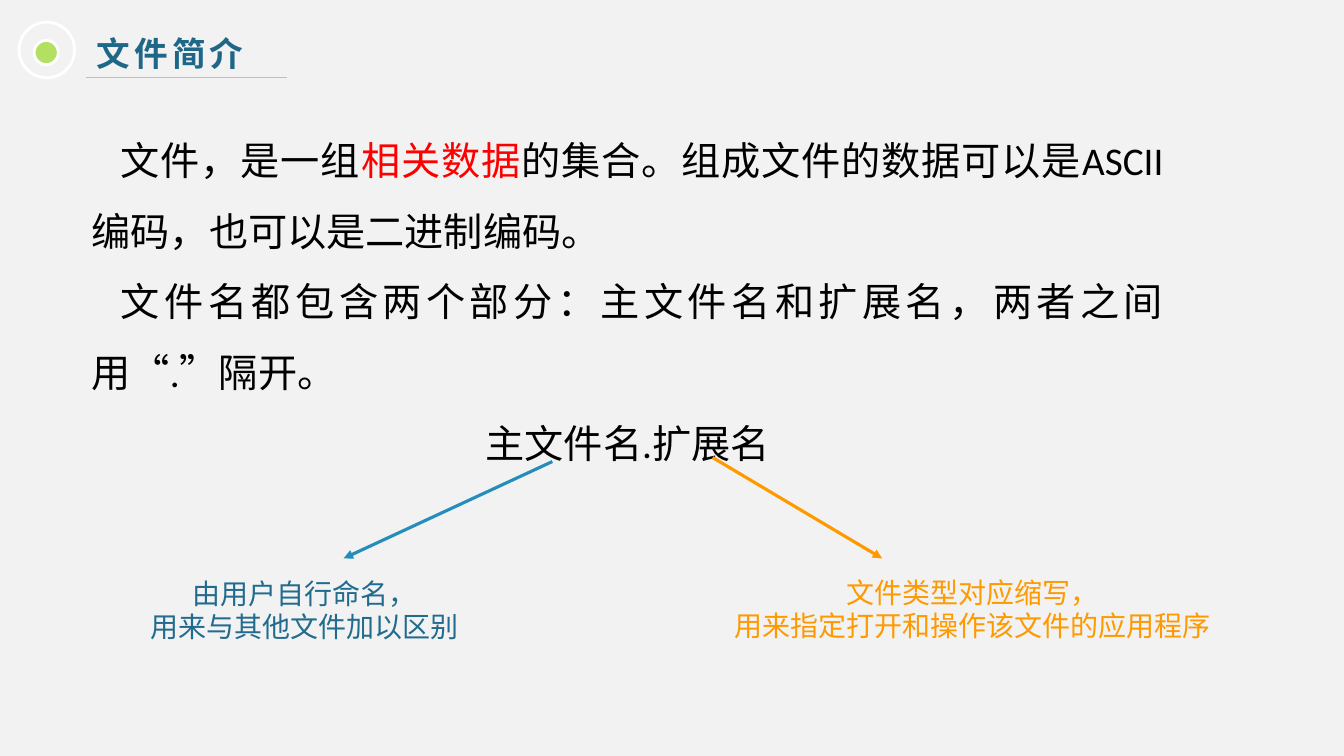
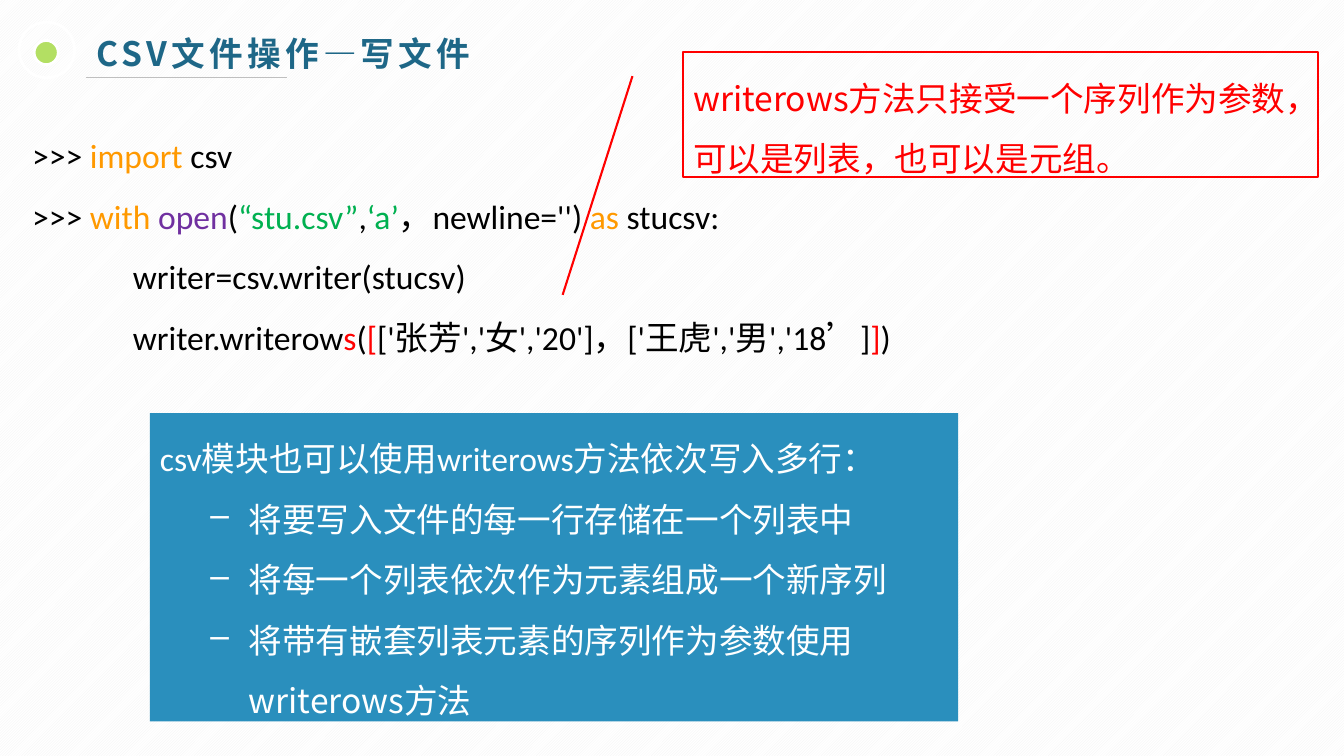
from lxml import etree
from pptx import Presentation
from pptx.dml.color import RGBColor
from pptx.enum.dml import MSO_PATTERN
from pptx.enum.shapes import MSO_CONNECTOR, MSO_SHAPE
from pptx.enum.text import MSO_ANCHOR as ANCHOR, MSO_AUTO_SIZE as FIT, PP_ALIGN as ALIGN
from pptx.oxml.ns import qn
from pptx.util import Cm, Pt

BLACK = RGBColor(0x00, 0x00, 0x00)
WHITE = RGBColor(0xFF, 0xFF, 0xFF)
PALE = RGBColor(0xF2, 0xF2, 0xF2)
GRAY = RGBColor(0xBF, 0xBF, 0xBF)
LIME = RGBColor(0xB3, 0xDF, 0x63)
TITLE_BLUE = RGBColor(0x1E, 0x67, 0x87)
NOTE_BLUE = RGBColor(0x20, 0x6B, 0x8E)
ARROW_BLUE = RGBColor(0x25, 0x8D, 0xBC)
PANEL_BLUE = RGBColor(0x2A, 0x8F, 0xBD)
ORANGE = RGBColor(0xFF, 0x99, 0x00)
RED = RGBColor(0xFF, 0x00, 0x00)
PURPLE = RGBColor(0x70, 0x30, 0xA0)
GREEN = RGBColor(0x00, 0xB0, 0x50)

LATIN = "Calibri"
CJK = "Noto Sans CJK SC"

TITLE_FONT = {"name": CJK, "size": Pt(24), "bold": True}
BODY_FONT = {"name": LATIN, "size": Pt(28)}
NOTE_FONT = {"name": LATIN, "size": Pt(20)}
CODE_FONT = {"name": LATIN, "size": Pt(24)}
CJK_FONT = {"name": CJK, "size": Pt(24)}

TOP_FRAME = {"word_wrap": True, "vertical_anchor": ANCHOR.TOP, "auto_size": FIT.SHAPE_TO_FIT_TEXT}
MID_FRAME = {"word_wrap": True, "vertical_anchor": ANCHOR.MIDDLE, "auto_size": FIT.NONE}

LOOSE = {"alignment": ALIGN.LEFT, "line_spacing": 1.5}
JUSTIFIED = {"alignment": ALIGN.JUSTIFY, "line_spacing": 1.5}
CENTRED = {"alignment": ALIGN.CENTER, "line_spacing": 1.5}
NOTE_LINE = {"alignment": ALIGN.CENTER}
BULLETED = {"level": 1, **LOOSE}


def apply(target, values):
    for key, value in values.items():
        setattr(target, key, value)


def add_run(p, text, font, color):
    r = p.add_run()
    r.text = text
    apply(r.font, font)
    r.font.color.rgb = color
    etree.SubElement(r.font._element, qn("a:ea"), typeface=CJK)
    return r


def add_para(tf, runs, font, style, left=0, indent=0, bullet=None):
    p = tf.paragraphs[0]
    if p.runs:
        p = tf.add_paragraph()
    apply(p, style)
    ppr = p._p.get_or_add_pPr()
    ppr.set("marL", str(Cm(left)))
    ppr.set("indent", str(Cm(indent)))
    if bullet:
        etree.SubElement(ppr, qn("a:buChar"), char=bullet)
    for text, color in runs:
        add_run(p, text, font, color)


def add_text(slide, box, frame):
    tf = slide.shapes.add_textbox(*map(Cm, box)).text_frame
    apply(tf, frame)
    return tf


def add_shape(slide, kind, box, fill=None, line=None, width=2):
    sp = slide.shapes.add_shape(kind, *map(Cm, box))
    sp.shadow.inherit = False
    if fill is None:
        sp.fill.background()
    else:
        sp.fill.solid()
        sp.fill.fore_color.rgb = fill
    if line is None:
        sp.line.fill.background()
    else:
        sp.line.color.rgb = line
        sp.line.width = Pt(width)
    return sp


def add_line(slide, start, end, color, width, arrow=False):
    line = slide.shapes.add_connector(MSO_CONNECTOR.STRAIGHT, *map(Cm, start + end))
    line.line.color.rgb = color
    line.line.width = Pt(width)
    if arrow:
        etree.SubElement(line.line._get_or_add_ln(), qn("a:tailEnd"), type="triangle")
    etree.SubElement(line._element.spPr, qn("a:effectLst"))


def add_slide(prs, title):
    slide = prs.slides.add_slide(prs.slide_layouts[5])
    sp = slide.shapes.title
    apply(sp, {"left": Cm(2.18), "top": Cm(0.69), "width": Cm(16.38), "height": Cm(1.27)})
    tf = sp.text_frame
    apply(tf, MID_FRAME)
    p = tf.paragraphs[0]
    p.alignment = ALIGN.LEFT
    r = add_run(p, title, TITLE_FONT, TITLE_BLUE)
    r.font._element.set("spc", "300")
    add_shape(slide, MSO_SHAPE.OVAL, (0.86, 1.02, 0.61, 0.61), LIME, WHITE)
    add_shape(slide, MSO_SHAPE.OVAL, (0.48, 0.56, 1.4, 1.4), line=WHITE)
    add_line(slide, (2.16, 1.96), (7.24, 1.96), GRAY, 0.75)
    return slide


def add_note(slide, box, lines, color):
    tf = add_text(slide, box, MID_FRAME)
    for text in lines:
        add_para(tf, [(text, color)], NOTE_FONT, NOTE_LINE)


def build_file_intro(prs):
    slide = add_slide(prs, "文件简介")
    slide.background.fill.solid()
    slide.background.fill.fore_color.rgb = PALE

    tf = add_text(slide, (2.06, 2.72, 27.51, 16.21), TOP_FRAME)
    definition = [
        ("文件，是一组", BLACK),
        ("相关数据", RED),
        ("的集合。组成文件的数据可以是ASCII编码，也可以是二进制编码。", BLACK),
    ]
    naming = [("文件名都包含两个部分：主文件名和扩展名，两者之间用“.”隔开。", BLACK)]
    for runs in (definition, naming):
        add_para(tf, runs, BODY_FONT, JUSTIFIED, indent=0.74)
    add_para(tf, [("主文件名.扩展名", BLACK)], BODY_FONT, CENTRED)

    add_note(slide, (1.47, 14.1, 12.4, 2.54),
             ["由用户自行命名，", "用来与其他文件加以区别"], NOTE_BLUE)
    add_note(slide, (17.96, 14.07, 13.11, 2.54),
             ["文件类型对应缩写，", "用来指定打开和操作该文件的应用程序"], ORANGE)
    add_line(slide, (13.92, 11.63), (8.66, 14.07), ARROW_BLUE, 2.25, arrow=True)
    add_line(slide, (17.96, 11.53), (22.23, 14.07), ORANGE, 2.25, arrow=True)


def build_csv_writing(prs):
    slide = add_slide(prs, "CSV文件操作—写文件")
    fill = slide.background.fill
    fill.patterned()
    fill.pattern = MSO_PATTERN.LIGHT_UPWARD_DIAGONAL
    fill.fore_color.rgb = PALE
    fill.back_color.rgb = WHITE

    code = [
        (0, [(">>> ", BLACK), ("import", ORANGE), (" csv", BLACK)]),
        (0, [(">>> ", BLACK), ("with ", ORANGE), ("open", PURPLE), ("(", BLACK),
             ("“stu.csv”", GREEN), (",", BLACK), ("‘a’", GREEN),
             ("，newline='') ", BLACK), ("as ", ORANGE), ("stucsv:", BLACK)]),
        (2.54, [("writer=csv.writer(stucsv)", BLACK)]),
        (2.54, [("writer.writerow", BLACK), ("s", RED), ("(", BLACK), ("[", RED),
                ("['张芳','女','20']，['王虎','男','18’]", BLACK), ("]", RED), (")", BLACK)]),
    ]
    tf = add_text(slide, (0.56, 2.77, 28.96, 7.8), TOP_FRAME)
    for left, runs in code:
        add_para(tf, runs, CODE_FONT, LOOSE, left)

    panel = add_shape(slide, MSO_SHAPE.RECTANGLE, (3.78, 10.41, 20.37, 7.77), PANEL_BLUE)
    tf = panel.text_frame
    apply(tf, TOP_FRAME)
    add_para(tf, [("csv模块也可以使用writerows方法依次写入多行：", WHITE)], CODE_FONT, LOOSE)
    for step in ("将要写入文件的每一行存储在一个列表中",
                 "将每一个列表依次作为元素组成一个新序列",
                 "将带有嵌套列表元素的序列作为参数使用writerows方法"):
        add_para(tf, [(step, WHITE)], CJK_FONT, BULLETED, 2.24, -0.97, "–")

    callout = add_shape(slide, MSO_SHAPE.LINE_CALLOUT_1, (17.22, 1.32, 16, 3.15),
                        line=RED, width=1.5)
    for i, value in enumerate((0.19, -0.08, 1.94, -0.19)):
        callout.adjustments[i] = value
    tf = callout.text_frame
    apply(tf, TOP_FRAME)
    for text in ("writerows方法只接受一个序列作为参数，", "可以是列表，也可以是元组。"):
        add_para(tf, [(text, RED)], CJK_FONT, LOOSE)


def main():
    prs = Presentation()
    apply(prs, {"slide_width": Cm(33.87), "slide_height": Cm(19.05)})
    build_file_intro(prs)
    build_csv_writing(prs)
    prs.save("out.pptx")


if __name__ == "__main__":
    main()
